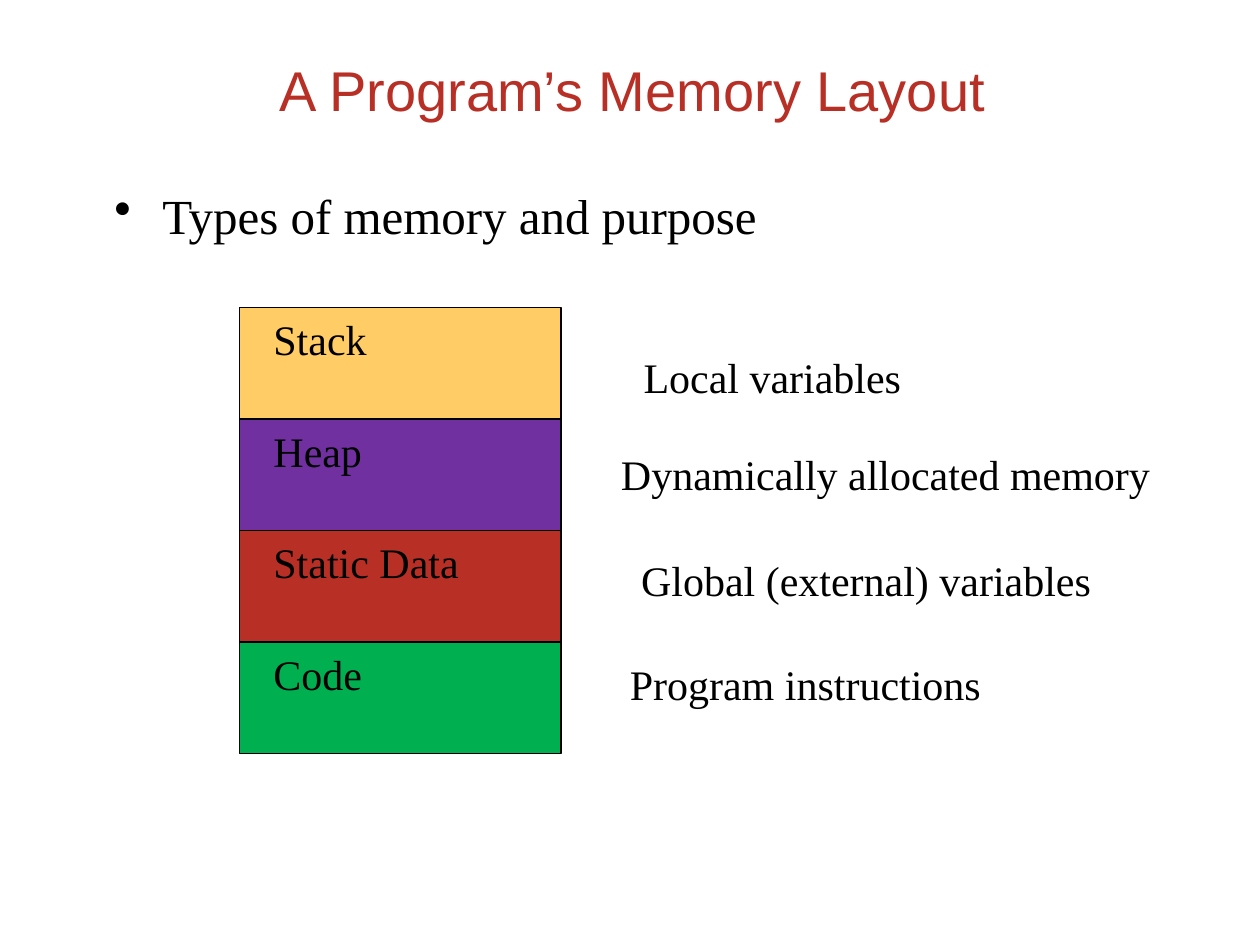
import pptx
import pptx.util
import pptx.dml.color
import pptx.enum.shapes
import pptx.enum.text
import pptx.oxml.ns
import lxml.etree

Inches = pptx.util.Inches
Pt = pptx.util.Pt
ANCHOR = pptx.enum.text.MSO_ANCHOR
ALIGN = pptx.enum.text.PP_ALIGN
AUTO_SIZE = pptx.enum.text.MSO_AUTO_SIZE

COLORS = {
    "title": "B82F25",
    "text": "000000",
    "Stack": "FFCC66",
    "Heap": "7030A0",
    "Static Data": "B82F25",
    "Code": "00B050",
}
SEGMENTS = ["Stack", "Heap", "Static Data", "Code"]
PURPOSES = [
    ("Global (external) variables", 4.99, 4.35, 3.8),
    ("Dynamically allocated memory", 4.83, 3.51, 4.44),
    ("Local variables", 5.01, 2.74, 2.26),
    ("Program instructions", 4.9, 5.18, 3.01),
]


def rgb(name):
    """Return the named colour."""
    return pptx.dml.color.RGBColor.from_string(COLORS[name])


def set_attributes(target, values):
    """Set each attribute of the target from a dict."""
    for name, value in values.items():
        setattr(target, name, value)


def write_text(shape, text, size, font="Times New Roman", color="text",
               frame_format=None, paragraph_format=None):
    """Write one formatted paragraph into a shape and return it."""
    frame = shape.text_frame
    set_attributes(frame, {"word_wrap": True, "auto_size": AUTO_SIZE.NONE,
                           "vertical_anchor": ANCHOR.TOP, **(frame_format or {})})
    paragraph = frame.paragraphs[0]
    set_attributes(paragraph, {"alignment": ALIGN.LEFT, **(paragraph_format or {})})
    run = paragraph.add_run()
    run.text = text
    set_attributes(run.font, {"size": Pt(size), "name": font})
    run.font.color.rgb = rgb(color)
    return paragraph


def add_title(slide, text):
    """Place and fill the title placeholder."""
    title = slide.shapes.title
    set_attributes(title, {"left": Inches(0.77), "top": Inches(0.33),
                           "width": Inches(8.5), "height": Inches(0.75)})
    write_text(title, text, 32, "Arial", "title",
               {"vertical_anchor": ANCHOR.MIDDLE}, {"alignment": ALIGN.CENTER})


def add_bullet(slide, text):
    """Add the body text with a hanging bullet."""
    box = slide.shapes.add_textbox(Inches(0.81), Inches(1.42), Inches(8.5), Inches(5.58))
    paragraph = write_text(box, text, 28, paragraph_format={"space_before": Pt(5.6)})
    properties = paragraph._p.get_or_add_pPr()
    indent = Inches(0.38)
    properties.set("marL", str(indent))
    properties.set("indent", str(-indent))
    bullet = lxml.etree.SubElement(properties, pptx.oxml.ns.qn("a:buChar"))
    bullet.set("char", "•")


def add_memory_stack(slide, left=1.9, top=2.44, width=2.55, height=0.885):
    """Add the memory segments as one group of stacked blocks."""
    group = slide.shapes.add_group_shape()
    for row, name in enumerate(SEGMENTS):
        block = group.shapes.add_shape(
            pptx.enum.shapes.MSO_SHAPE.FLOWCHART_PROCESS,
            Inches(left), Inches(top + row * height), Inches(width), Inches(height))
        block.shadow.inherit = False
        block.fill.solid()
        block.fill.fore_color.rgb = rgb(name)
        block.line.color.rgb = rgb("text")
        block.line.width = Pt(1)
        write_text(block, name, 24, frame_format={"margin_left": Inches(0.27)})


def add_purpose(slide, text, left, top, width):
    """Add the label that explains a memory segment."""
    box = slide.shapes.add_textbox(Inches(left), Inches(top), Inches(width), Inches(0.5))
    write_text(box, text, 24, frame_format={
        "word_wrap": False, "auto_size": AUTO_SIZE.SHAPE_TO_FIT_TEXT})


def main():
    """Build and save the slide."""
    presentation = pptx.Presentation()
    set_attributes(presentation, {"slide_width": Inches(10), "slide_height": Inches(7.5)})
    slide = presentation.slides.add_slide(presentation.slide_layouts[5])
    add_title(slide, "A Program’s Memory Layout")
    add_bullet(slide, "Types of memory and purpose")
    add_memory_stack(slide)
    for purpose in PURPOSES:
        add_purpose(slide, *purpose)
    presentation.save("out.pptx")


if __name__ == "__main__":
    main()
